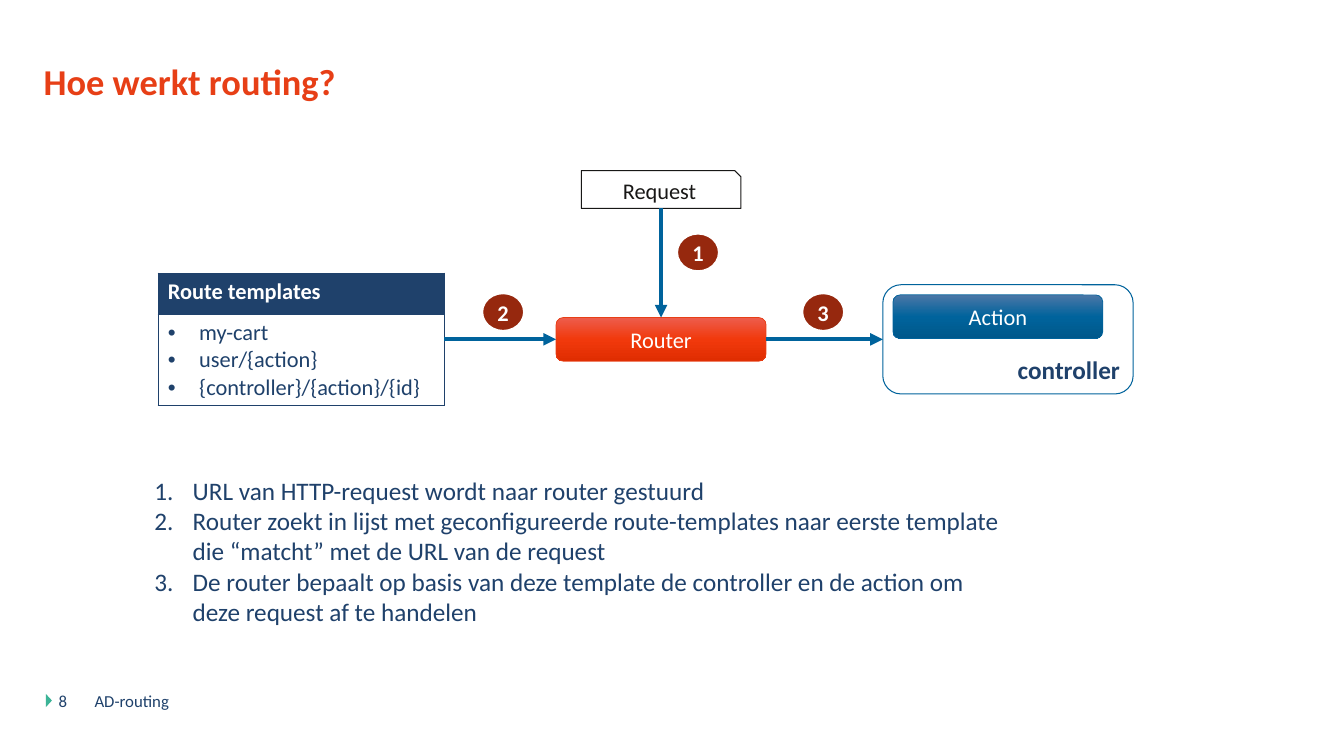
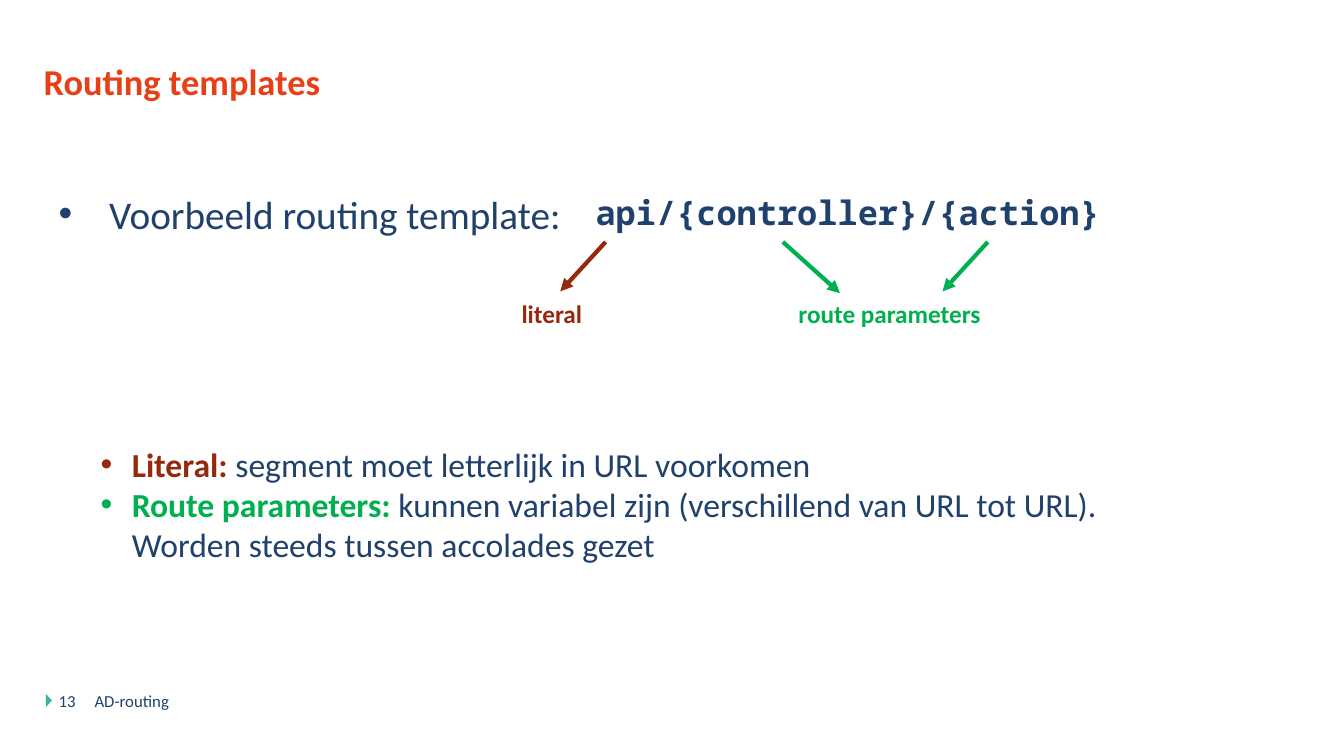
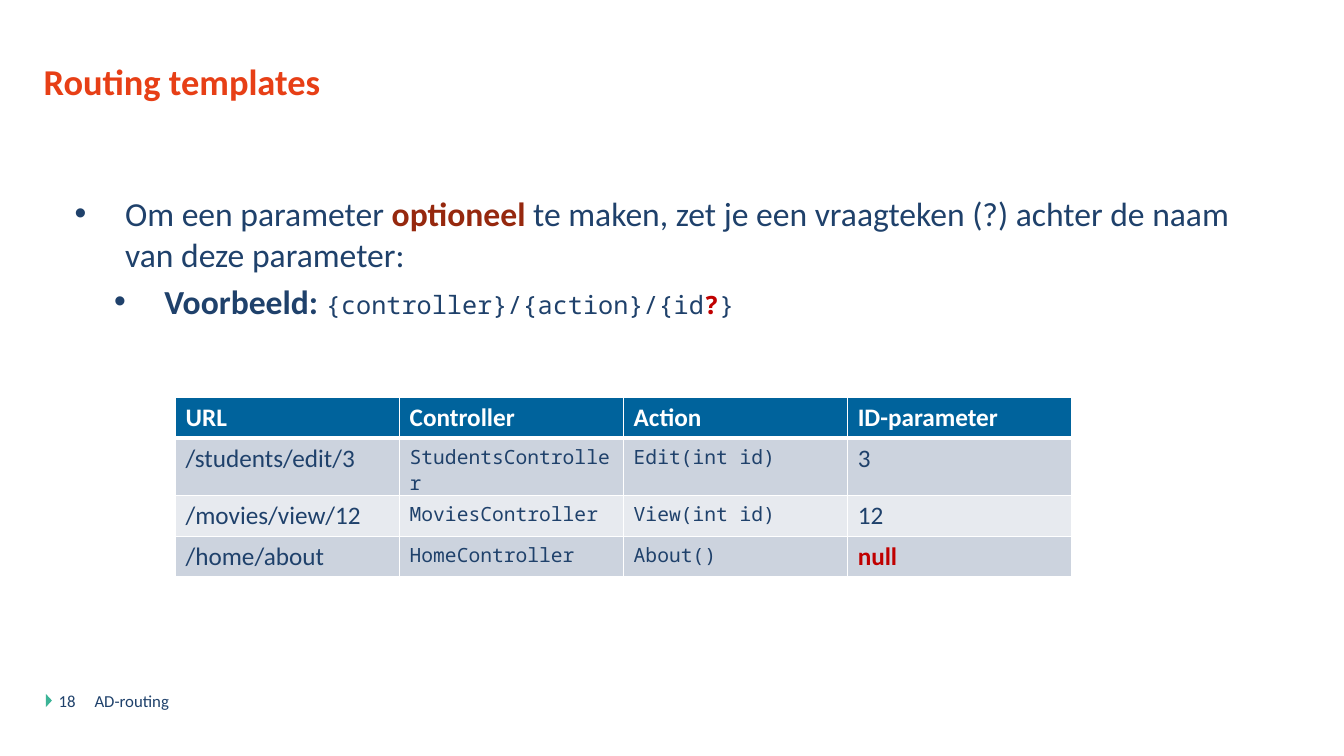
from copy import deepcopy
from dataclasses import dataclass, field
from typing import Any, NamedTuple, Optional

from lxml.etree import SubElement
from pptx import Presentation
from pptx.dml.color import RGBColor
from pptx.enum.shapes import MSO_CONNECTOR as Connector, MSO_SHAPE as Preset
from pptx.enum.text import MSO_ANCHOR as Anchor, PP_ALIGN as Align
from pptx.oxml.ns import qn
from pptx.util import Inches, Pt


# Theme: colours, fonts and type sizes
@dataclass(frozen=True)
class Theme:
    sans: str = "Calibri"
    mono: str = "Noto Sans Mono"
    navy: str = "1F416B"
    blue: str = "00639C"
    orange: str = "E73F16"
    rust: str = "96280E"
    green: str = "00B050"
    red: str = "C00000"
    teal: str = "3CB497"
    black: str = "181716"
    white: str = "FFFFFF"
    band_dark: str = "CCD3DE"
    band_light: str = "E7EAEF"
    blue_gradient: tuple = ("4B77A7", "00639C", "00588B")
    orange_gradient: tuple = ("ED5D4D", "F1390C", "E02D01")
    footer_size: int = 12
    code_size: int = 14
    label_size: int = 16
    text_size: int = 18
    body_size: int = 24
    title_size: int = 26
    lead_size: int = 28


THEME = Theme()

# Grid: 160 columns by 90 rows over the whole slide
SLIDE_WIDTH, SLIDE_HEIGHT = Inches(13.33), Inches(7.5)
COLUMNS, ROWS = 160, 90


def across(columns: float) -> int:
    return round(SLIDE_WIDTH * columns / COLUMNS)


def down(rows: float) -> int:
    return round(SLIDE_HEIGHT * rows / ROWS)


class Box(NamedTuple):
    column: float
    row: float
    columns: float
    rows: float

    def lengths(self) -> tuple:
        return across(self.column), down(self.row), across(self.columns), down(self.rows)


class Run(NamedTuple):
    text: str
    size: float = THEME.text_size
    color: str = THEME.navy
    bold: bool = False
    font: str = THEME.sans


@dataclass
class Line:
    """One paragraph; hanging is its bullet gap in inches."""
    runs: list
    format: dict = field(default_factory=dict)
    bullet: str = ""
    hanging: float = 0.31
    indent: Optional[float] = None


class Node(NamedTuple):
    preset: Any
    box: Box
    text: str = ""
    fill: Any = None
    outline: str = THEME.white
    outline_width: float = 0.5
    color: str = THEME.white
    bold: bool = False


class Arrow(NamedTuple):
    start: tuple
    end: tuple
    color: str = THEME.blue


CENTER = {"alignment": Align.CENTER}
NO_MARGINS = {f"margin_{side}": 0 for side in ("left", "top", "right", "bottom")}


def rgb(color: str) -> RGBColor:
    return RGBColor.from_string(color)


def set_format(target: Any, values: dict) -> None:
    for name, value in values.items():
        setattr(target, name, value)


# Text
def write_bullet(paragraph: Any, line: Line) -> None:
    properties = paragraph._p.get_or_add_pPr()
    left = line.hanging if line.indent is None else line.indent
    properties.set("marL", str(Inches(left)))
    properties.set("indent", str(-Inches(line.hanging)))
    if line.bullet == "1.":
        SubElement(properties, qn("a:buAutoNum"), type="arabicPeriod")
    else:
        SubElement(properties, qn("a:buFont"), typeface="Arial")
        SubElement(properties, qn("a:buChar"), char=line.bullet)


def write_lines(frame: Any, lines: list) -> None:
    for index, line in enumerate(lines):
        paragraph = frame.add_paragraph() if index else frame.paragraphs[0]
        set_format(paragraph, line.format)
        if line.bullet:
            write_bullet(paragraph, line)
        for part in line.runs:
            for number, text in enumerate(part.text.split("\n")):
                if number:
                    paragraph.add_line_break()
                run = paragraph.add_run()
                run.text = text
                set_format(run.font, {"size": Pt(part.size), "bold": part.bold,
                                      "name": part.font})
                run.font.color.rgb = rgb(part.color)


def add_text(slide: Any, box: Box, lines: list, margins: Optional[dict] = None) -> None:
    frame = slide.shapes.add_textbox(*box.lengths()).text_frame
    set_format(frame, {"word_wrap": True, **(margins or {})})
    write_lines(frame, lines)


# Shapes and arrows
def fill_shape(shape: Any, fill: Any) -> None:
    if fill is None:
        shape.fill.background()
    elif isinstance(fill, str):
        shape.fill.solid()
        shape.fill.fore_color.rgb = rgb(fill)
    else:
        shape.fill.gradient()
        shape.fill.gradient_angle = 270
        stops = shape._element.spPr.find(qn("a:gradFill")).find(qn("a:gsLst"))
        for stop in list(stops):
            stops.remove(stop)
        for index, color in enumerate(fill):
            position = index * 100000 // (len(fill) - 1)
            stop = SubElement(stops, qn("a:gs"), pos=str(position))
            SubElement(stop, qn("a:srgbClr"), val=color)


def add_node(slide: Any, node: Node) -> Any:
    shape = slide.shapes.add_shape(node.preset, *node.box.lengths())
    shape.shadow.inherit = False
    fill_shape(shape, node.fill)
    shape.line.color.rgb = rgb(node.outline)
    shape.line.width = Pt(node.outline_width)
    if node.text:
        set_format(shape.text_frame, {"word_wrap": True, "vertical_anchor": Anchor.MIDDLE,
                                      **NO_MARGINS})
        run = Run(node.text, THEME.label_size, node.color, node.bold)
        write_lines(shape.text_frame, [Line([run], CENTER)])
    return shape


def add_arrow(slide: Any, arrow: Arrow) -> Any:
    (left, top), (right, bottom) = arrow.start, arrow.end
    connector = slide.shapes.add_connector(
        Connector.STRAIGHT, across(left), down(top), across(right), down(bottom))
    connector.line.color.rgb = rgb(arrow.color)
    connector.line.width = Pt(3)
    SubElement(connector.line._get_or_add_ln(), qn("a:tailEnd"), type="triangle")
    SubElement(connector._element.spPr, qn("a:effectLst"))
    return connector


# Tables
def set_borders(cell: Any, color: str, widths: dict) -> None:
    properties = cell._tc.get_or_add_tcPr()
    for index, side in enumerate("LRTB"):
        width = widths.get(side, widths["all"])
        border = SubElement(properties, qn(f"a:ln{side}"), w=str(Pt(width)))
        solid = SubElement(border, qn("a:solidFill"))
        SubElement(solid, qn("a:srgbClr"), val=color)
        properties.insert(index, border)


def add_grid_table(slide: Any, box: Box, row_heights: list, cells: list,
                   fills: list, border: str, header_widths: dict,
                   body_widths: dict) -> None:
    """Each cell is a list of lines; fills holds one fill per row."""
    columns = len(cells[0])
    table = slide.shapes.add_table(len(cells), columns, *box.lengths()).table
    for column in table.columns:
        column.width = across(box.columns / columns)
    for index, (height, row, fill) in enumerate(zip(row_heights, cells, fills)):
        table.rows[index].height = down(height)
        for number, lines in enumerate(row):
            cell = table.cell(index, number)
            write_lines(cell.text_frame, lines)
            set_borders(cell, border, body_widths if index else header_widths)
            fill_shape(cell, fill)


# Parts shared by all slides
def add_base_slide(presentation: Any, title: str, number: int) -> Any:
    slide = presentation.slides.add_slide(presentation.slide_layouts[6])
    marker = add_node(slide, Node(Preset.ISOSCELES_TRIANGLE, Box(5.04, 83.04, 1.56, 0.72),
                                  fill=THEME.teal))
    marker.line.fill.background()
    marker.rotation = 90
    heading = Run(title, THEME.title_size, THEME.orange, True)
    add_text(slide, Box(5.2, 8, 138, 9), [Line([heading], {"line_spacing": 0.8})], NO_MARGINS)
    for column, columns, text in ((11.25, 54, "AD-routing"), (7, 3.75, str(number))):
        add_text(slide, Box(column, 82.2, columns, 4.8),
                 [Line([Run(text, THEME.footer_size)])], NO_MARGINS)
    return slide


def add_routing_slide(presentation: Any) -> None:
    slide = add_base_slide(presentation, "Hoe werkt routing?", 8)

    # Request, router and controller
    request = add_node(slide, Node(Preset.SNIP_1_RECTANGLE, Box(69.2, 20.3, 19, 4.5), "Request",
                                   THEME.white, THEME.black, 0.75, THEME.black))
    router = add_node(slide, Node(Preset.ROUNDED_RECTANGLE, Box(66.2, 37.8, 25, 5.2), "Router",
                                  THEME.orange_gradient, THEME.orange))
    add_node(slide, Node(Preset.ROUNDED_RECTANGLE, Box(106.3, 35.1, 25, 5.2), "Action",
                         THEME.blue_gradient, THEME.blue))
    controller = add_node(slide, Node(Preset.ROUNDED_RECTANGLE, Box(105.1, 33.9, 29.8, 13),
                                      outline=THEME.blue, outline_width=0.75))
    add_text(slide, Box(119.5, 41.6, 15.5, 4.8), [Line([Run("controller", bold=True)], CENTER)])

    # Route templates
    header = Run("Route templates", THEME.label_size, THEME.white, True)
    templates = ("my-cart", "user/{action}", "{controller}/{action}/{id}")
    cells = [[[Line([header])]],
             [[Line([Run(text, THEME.label_size)], bullet="•") for text in templates]]]
    add_grid_table(slide, Box(18.8, 32.5, 34.1, 15.7), [4.9, 10.8], cells,
                   [THEME.navy, None], THEME.navy, {"all": 0.5}, {"all": 0.5})

    # Arrows and step badges
    to_router = add_arrow(slide, Arrow((78.7, 24.8), (78.7, 37.8)))
    to_router.begin_connect(request, 2)
    to_router.end_connect(router, 0)
    from_table = add_arrow(slide, Arrow((52.9, 40.4), (66.2, 40.4)))
    from_table.end_connect(router, 1)
    to_controller = add_arrow(slide, Arrow((91.2, 40.4), (105.1, 40.4)))
    to_controller.begin_connect(router, 3)
    to_controller.end_connect(controller, 1)
    for step, (column, row) in enumerate(((80.6, 27.8), (57.4, 34.9), (95.5, 34.9)), 1):
        add_node(slide, Node(Preset.FLOWCHART_CONNECTOR, Box(column, row, 5, 4.5), str(step),
                             THEME.rust, outline_width=1.5, bold=True))

    # Explanation of the steps
    steps = (
        "URL van HTTP-request wordt naar router gestuurd",
        "Router zoekt in lijst met geconfigureerde route-templates naar eerste template "
        "die “matcht” met de URL van de request",
        "De router bepaalt op basis van deze template de controller en de action om "
        "deze request af te handelen",
    )
    add_text(slide, Box(17.2, 56, 104, 19.4),
             [Line([Run(text)], bullet="1.", hanging=0.38) for text in steps])


def add_template_slide(presentation: Any) -> None:
    slide = add_base_slide(presentation, "Routing templates", 13)

    # Example template
    add_text(slide, Box(7, 22.6, 62, 6),
             [Line([Run("Voorbeeld routing template:", THEME.lead_size)],
                   bullet="•", hanging=0.5)], NO_MARGINS)
    add_text(slide, Box(70.9, 22.8, 68, 6),
             [Line([Run("api/{controller}/{action}", THEME.body_size, bold=True,
                        font=THEME.mono)])], NO_MARGINS)

    # Arrows to the names of the parts
    for arrow in (Arrow((72.1, 28.8), (66.7, 34.7), THEME.rust),
                  Arrow((93.2, 28.8), (100, 34.9), THEME.green),
                  Arrow((117.6, 28.8), (112.2, 34.7), THEME.green)):
        add_arrow(slide, arrow)
    for column, columns, text, color in ((56.3, 18.8, "literal", THEME.rust),
                                         (92.9, 26, "route parameters", THEME.green)):
        add_text(slide, Box(column, 34.9, columns, 4.8),
                 [Line([Run(text, color=color, bold=True)], CENTER)])

    # Definitions
    definitions = (
        ("Literal: ", THEME.rust, "segment moet letterlijk in URL voorkomen"),
        ("Route parameters: ", THEME.green,
         "kunnen variabel zijn (verschillend van URL tot URL).\n"
         "Worden steeds tussen accolades gezet"),
    )
    add_text(slide, Box(10.8, 52.2, 136.4, 15.7),
             [Line([Run(term, THEME.body_size, color, True), Run(meaning, THEME.body_size)],
                   bullet="•") for term, color, meaning in definitions])


def add_optional_slide(presentation: Any) -> None:
    slide = add_base_slide(presentation, "Routing templates", 18)

    # Explanation and example
    size, code = THEME.body_size, Run("", font=THEME.mono)
    add_text(slide, Box(8.9, 23, 140, 18.5), [
        Line([Run("Om een parameter ", size),
              Run("optioneel", size, THEME.rust, True),
              Run(" te maken, zet je een vraagteken (?) achter de naam van deze parameter:",
                  size)], bullet="•", hanging=0.5),
        Line([Run("Voorbeeld: ", size, bold=True),
              code._replace(text="{controller}/{action}/{id"),
              code._replace(text="?", color=THEME.red, bold=True),
              code._replace(text="}")],
             {"level": 1, "space_before": Pt(5)}, "•", 0.5, 0.89),
    ], NO_MARGINS)

    # Table of matched addresses
    header = Run("", color=THEME.white, bold=True)
    code = Run("", THEME.code_size, font=THEME.mono)
    null = Run("null", color=THEME.red, bold=True)
    matches = (
        ("/students/edit/3", "StudentsController", "Edit(int id)", Run("3")),
        ("/movies/view/12", "MoviesController", "View(int id)", Run("12")),
        ("/home/about", "HomeController", "About()", null),
    )
    rows = [[header._replace(text=text)
             for text in ("URL", "Controller", "Action", "ID-parameter")]]
    rows += [[Run(url), code._replace(text=controller), code._replace(text=action), identifier]
             for url, controller, action, identifier in matches]
    cells = [[[Line([run])] for run in row] for row in rows]
    add_grid_table(slide, Box(20.9, 47.3, 106.7, 19.4), [4.86] * len(rows), cells,
                   [THEME.blue, THEME.band_dark, THEME.band_light, THEME.band_dark],
                   THEME.white, {"all": 1, "B": 3}, {"all": 1})


def main() -> None:
    presentation = Presentation()
    set_format(presentation, {"slide_width": SLIDE_WIDTH, "slide_height": SLIDE_HEIGHT})
    for add_slide in (add_routing_slide, add_template_slide, add_optional_slide):
        add_slide(presentation)
    presentation.save("out.pptx")


if __name__ == "__main__":
    main()
